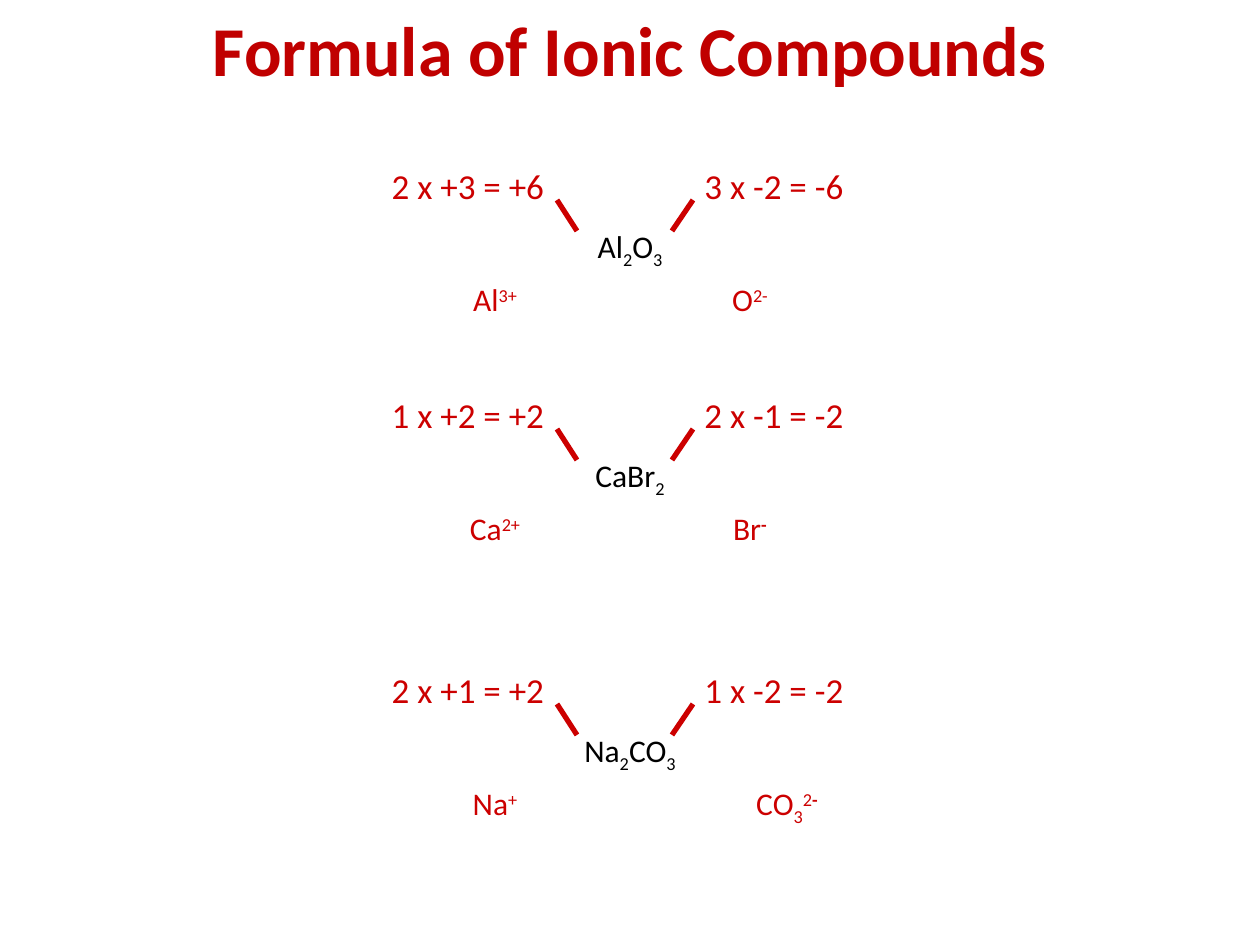
from lxml import etree
from pptx import Presentation
from pptx.dml.color import RGBColor
from pptx.enum.shapes import MSO_CONNECTOR
from pptx.enum.text import PP_ALIGN
from pptx.oxml.ns import qn
from pptx.util import Pt

STRAIGHT = MSO_CONNECTOR.STRAIGHT
CENTER = PP_ALIGN.CENTER
SCALE = 914400 / 126  # EMU per px
FONT = "Calibri"
TITLE_RED, RED, BLACK = "C00000", "CC0000", "000000"
SUB, SUPER = -25000, 30000

# Content: a run is (text, baseline, bold); baseline and bold may be left out
TITLE = "Formula of Ionic Compounds"
COMPOUNDS = [
    {
        "top": 158,
        "charges": ["2 x +3 = +6", "3 x -2 = -6"],
        "formula": ([("Al",), ("2", SUB), ("O",), ("3", SUB)], 144),
        "ions": [([("Al",), ("3+", SUPER)], 495, 107),
                 ([("O",), ("2-", SUPER)], 750, 93)],
    },
    {
        "top": 387,
        "charges": ["1 x +2 = +2", "2 x -1 = -2"],
        "formula": ([("CaBr",), ("2", SUB)], 156),
        "ions": [([("Ca",), ("2+", SUPER)], 495, 126),
                 ([("Br",), ("-", SUPER, True)], 750, 86)],
    },
    {
        "top": 662,
        "charges": ["2 x +1 = +2", "1 x -2 = -2"],
        "formula": ([("Na",), ("2", SUB), ("CO",), ("3", SUB)], 199),
        "ions": [([("Na",), ("+", SUPER)], 495, 107),
                 ([("CO",), ("3", SUB), ("2", SUPER), ("-", SUPER, True)], 787, 147)],
    },
]

# Layout in px, vertical offsets from the top of each compound
SLIDE_WIDTH, SLIDE_HEIGHT = 1260, 945
MIDDLE = SLIDE_WIDTH // 2
CHARGE_BOXES = [(468, 200), (774, 183)]  # centre, width
LINES = [(557, 577), (693, 672)]  # x at the charge, x at the formula
LINE_TOP, LINE_BOTTOM = 42, 73
FORMULA_OFFSET, ION_OFFSET = 63, 116
CHARGE_HEIGHT, SYMBOL_HEIGHT = 54, 72


def px(value):
    return round(value * SCALE)


def color(hex_string):
    return RGBColor.from_string(hex_string)


def add_text(shapes, runs, center, top, width, height, size, hex_string, bold=None, wrap=False):
    shape = shapes.add_textbox(px(center - width / 2), px(top), px(width), px(height))
    shape.text_frame.word_wrap = wrap
    paragraph = shape.text_frame.paragraphs[0]
    paragraph.alignment = CENTER
    font = paragraph.font
    font.name, font.size, font.bold = FONT, Pt(size), bold
    font.color.rgb = color(hex_string)
    for text, *style in runs:
        run = paragraph.add_run()
        run.text = text
        if style:
            run._r.get_or_add_rPr().set("baseline", str(style[0]))
        if len(style) > 1:
            run.font.bold = style[1]


def add_line(shapes, start_x, start_y, end_x, end_y):
    line = shapes.add_connector(STRAIGHT, px(start_x), px(start_y), px(end_x), px(end_y))
    line.line.color.rgb = color(RED)
    line.line.width = Pt(3)
    etree.SubElement(line._element.spPr, qn("a:effectLst"))


presentation = Presentation()
presentation.slide_width = px(SLIDE_WIDTH)
presentation.slide_height = px(SLIDE_HEIGHT)
slide = presentation.slides.add_slide(presentation.slide_layouts[6])

for compound in COMPOUNDS:
    top = compound["top"]

    # Formula
    runs, width = compound["formula"]
    add_text(slide.shapes, runs, MIDDLE, top + FORMULA_OFFSET, width, SYMBOL_HEIGHT, 18, BLACK)

    # Charge sums with their lines to the formula
    group = slide.shapes.add_group_shape()
    for text, (center, width), (outer, inner) in zip(compound["charges"], CHARGE_BOXES, LINES):
        add_text(group.shapes, [(text,)], center, top, width, CHARGE_HEIGHT, 20, RED)
        add_line(group.shapes, outer, top + LINE_TOP, inner, top + LINE_BOTTOM)

    # Ions
    for runs, center, width in compound["ions"]:
        add_text(slide.shapes, runs, center, top + ION_OFFSET, width, SYMBOL_HEIGHT, 18, RED)

# Title
add_text(slide.shapes, [(TITLE,)], MIDDLE, 0, SLIDE_WIDTH, 108, 40, TITLE_RED, bold=True, wrap=True)

presentation.save("out.pptx")
